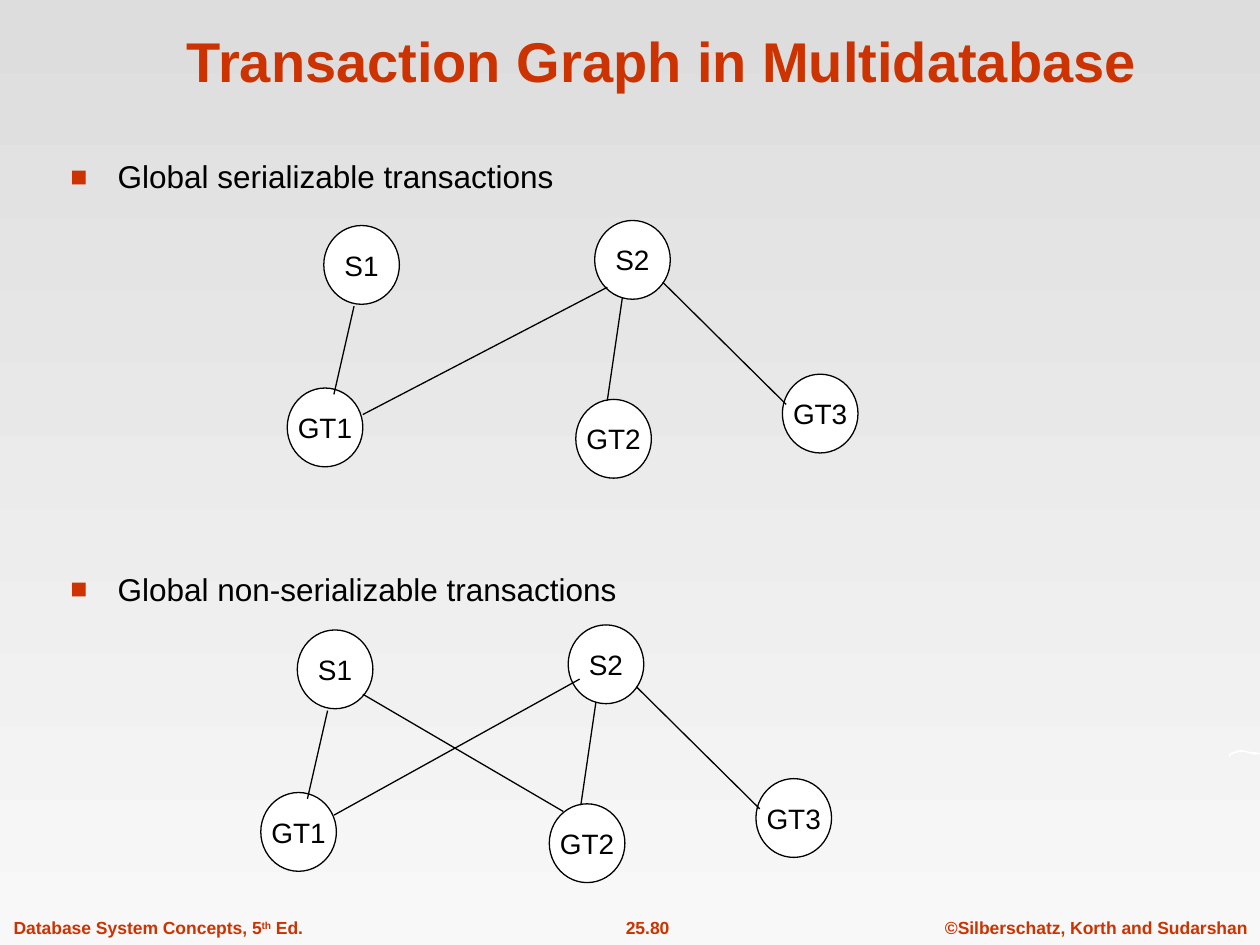
from dataclasses import dataclass

from lxml import etree
from pptx import Presentation
from pptx.dml.color import RGBColor
from pptx.enum.shapes import MSO_CONNECTOR, MSO_SHAPE
from pptx.enum.text import MSO_ANCHOR, PP_ALIGN
from pptx.oxml.ns import qn
from pptx.util import Inches, Pt

LEFT, CENTER = PP_ALIGN.LEFT, PP_ALIGN.CENTER
TOP, MIDDLE, BOTTOM = MSO_ANCHOR.TOP, MSO_ANCHOR.MIDDLE, MSO_ANCHOR.BOTTOM
STRAIGHT, ELLIPSE = MSO_CONNECTOR.STRAIGHT, MSO_SHAPE.OVAL


@dataclass(frozen=True)
class Theme:
    font: str = "Arial"
    accent: RGBColor = RGBColor(0xCC, 0x33, 0x00)
    ink: RGBColor = RGBColor(0, 0, 0)
    paper: RGBColor = RGBColor(0xFF, 0xFF, 0xFF)
    backdrop: tuple = (RGBColor(0xDD, 0xDD, 0xDD), RGBColor(0xF8, 0xF8, 0xF8))
    title_size: int = 32
    body_size: int = 18
    node_size: int = 16
    footer_size: int = 10
    line_width: float = 0.75


THEME = Theme()
COLUMNS, ROWS = 100, 75
CELL = Inches(0.1)

TITLE = "Transaction Graph in Multidatabase"
TITLE_AREA = (8.4, 1.2, 88.3, 6.7)
BULLETS = ["Global serializable transactions", "Global non-serializable transactions"]
BULLET_AREA = (4.6, 12, 83.8, 53.6)
BULLET_GAP, BULLET_INDENT = 214.2, 3.75

FOOTERS = [
    (["©Silberschatz, Korth and Sudarshan"], (74, 72.3, 26, 2.7), CENTER),
    (["25.80"], (46.1, 72.3, 10.6, 2.7), CENTER),
    (["Database System Concepts, 5", "th", " Ed."], (0.1, 72.3, 26, 2.7), LEFT),
]

NODE_WIDTH, NODE_HEIGHT = 6, 6.25
NODES = {
    "S1": (25.7, 17.9),
    "GT1": (22.8, 30.8),
    "GT2": (45.7, 31.7),
    "S2": (47.2, 17.5),
    "GT3": (62.1, 29.7),
}
SHARED_EDGES = [
    ((28.1, 24.3), (26.5, 31.3)),
    ((49.4, 23.6), (48.2, 31.8)),
    ((52.6, 22.4), (62.4, 32.1)),
]
GRAPHS = [
    ((0, 0), [((28.8, 32.9), (48.2, 22.8))]),
    ((-2.1, 32.1), [((28.6, 32.6), (48.1, 21.8)), ((30.9, 23), (46.8, 32.3))]),
]

SWIRL = [
    (97.5, 60.1), (97.6, 59.8), (97.9, 59.7), (98.1, 59.6), (98.5, 59.5),
    (98.9, 59.6), (99.3, 59.7), (99.7, 59.7), (100, 59.8), (99.9, 59.9),
    (99.6, 59.9), (99.2, 59.8), (98.8, 59.7), (98.3, 59.7), (98, 59.8),
    (97.7, 59.9), (97.6, 60.1),
]


def cells(values):
    return [round(value * CELL) for value in values]


def shift(point, offset):
    return point[0] + offset[0], point[1] + offset[1]


def style_text(paragraph, size, color, bold=False):
    for run in paragraph.runs:
        run.font.name = THEME.font
        run.font.size = Pt(size)
        run.font.bold = bold
        run.font.color.rgb = color


def add_text_box(slide, area, anchor=TOP, wrap=True):
    text_frame = slide.shapes.add_textbox(*cells(area)).text_frame
    text_frame.word_wrap = wrap
    text_frame.vertical_anchor = anchor
    return text_frame


def paint_background(slide):
    fill = slide.background.fill
    fill.gradient()
    fill.gradient_angle = 270
    for stop, color in zip(fill.gradient_stops, THEME.backdrop):
        stop.color.rgb = color


def add_footer(slide, parts, area, alignment):
    paragraph = add_text_box(slide, area, wrap=False).paragraphs[0]
    paragraph.alignment = alignment
    for part in parts:
        paragraph.add_run().text = part
    style_text(paragraph, THEME.footer_size, THEME.accent, bold=True)
    for run in paragraph.runs[1:2]:
        run.font._element.set("baseline", "30000")


def add_swirl(slide):
    points = [cells(point) for point in SWIRL]
    builder = slide.shapes.build_freeform(*points[0])
    builder.add_line_segments(points[1:], close=True)
    shape = builder.convert_to_shape()
    shape.shadow.inherit = False
    shape.fill.solid()
    shape.fill.fore_color.rgb = THEME.paper
    shape.line.fill.background()


def add_title(slide):
    paragraph = add_text_box(slide, TITLE_AREA, BOTTOM).paragraphs[0]
    paragraph.text = TITLE
    paragraph.alignment = CENTER
    style_text(paragraph, THEME.title_size, THEME.accent, bold=True)


def add_bullet(paragraph):
    properties = paragraph._p.get_or_add_pPr()
    indent = round(BULLET_INDENT * CELL)
    properties.set("marL", str(indent))
    properties.set("indent", str(-indent))
    color = etree.SubElement(properties, qn("a:buClr"))
    etree.SubElement(color, qn("a:srgbClr"), val=str(THEME.accent))
    etree.SubElement(properties, qn("a:buSzPct"), val="90000")
    etree.SubElement(properties, qn("a:buFont"), typeface=THEME.font)
    etree.SubElement(properties, qn("a:buChar"), char="■")


def add_bullets(slide):
    text_frame = add_text_box(slide, BULLET_AREA)
    text_frame.text = "\n".join(BULLETS)
    for paragraph in text_frame.paragraphs:
        add_bullet(paragraph)
        style_text(paragraph, THEME.body_size, THEME.ink)
    for paragraph in text_frame.paragraphs[1:]:
        paragraph.space_before = Pt(BULLET_GAP)


def style_line(line):
    line.color.rgb = THEME.ink
    line.width = Pt(THEME.line_width)


def add_node(slide, label, corner):
    shape = slide.shapes.add_shape(ELLIPSE, *cells((*corner, NODE_WIDTH, NODE_HEIGHT)))
    shape.shadow.inherit = False
    shape.fill.solid()
    shape.fill.fore_color.rgb = THEME.paper
    style_line(shape.line)
    shape.text_frame.word_wrap = False
    shape.text_frame.vertical_anchor = MIDDLE
    paragraph = shape.text_frame.paragraphs[0]
    paragraph.text = label
    paragraph.alignment = CENTER
    style_text(paragraph, THEME.node_size, THEME.ink)


def add_edge(slide, start, end):
    connector = slide.shapes.add_connector(STRAIGHT, *cells((*start, *end)))
    style_line(connector.line)
    etree.SubElement(connector._element.spPr, qn("a:effectLst"))


def add_graph(slide, offset, own_edges):
    for label, corner in NODES.items():
        add_node(slide, label, shift(corner, offset))
    for start, end in SHARED_EDGES + own_edges:
        add_edge(slide, shift(start, offset), shift(end, offset))


def main():
    presentation = Presentation()
    presentation.slide_width = COLUMNS * CELL
    presentation.slide_height = ROWS * CELL
    slide = presentation.slides.add_slide(presentation.slide_layouts[6])
    paint_background(slide)
    for footer in FOOTERS:
        add_footer(slide, *footer)
    add_swirl(slide)
    add_title(slide)
    add_bullets(slide)
    for graph in GRAPHS:
        add_graph(slide, *graph)
    presentation.save("out.pptx")


if __name__ == "__main__":
    main()
